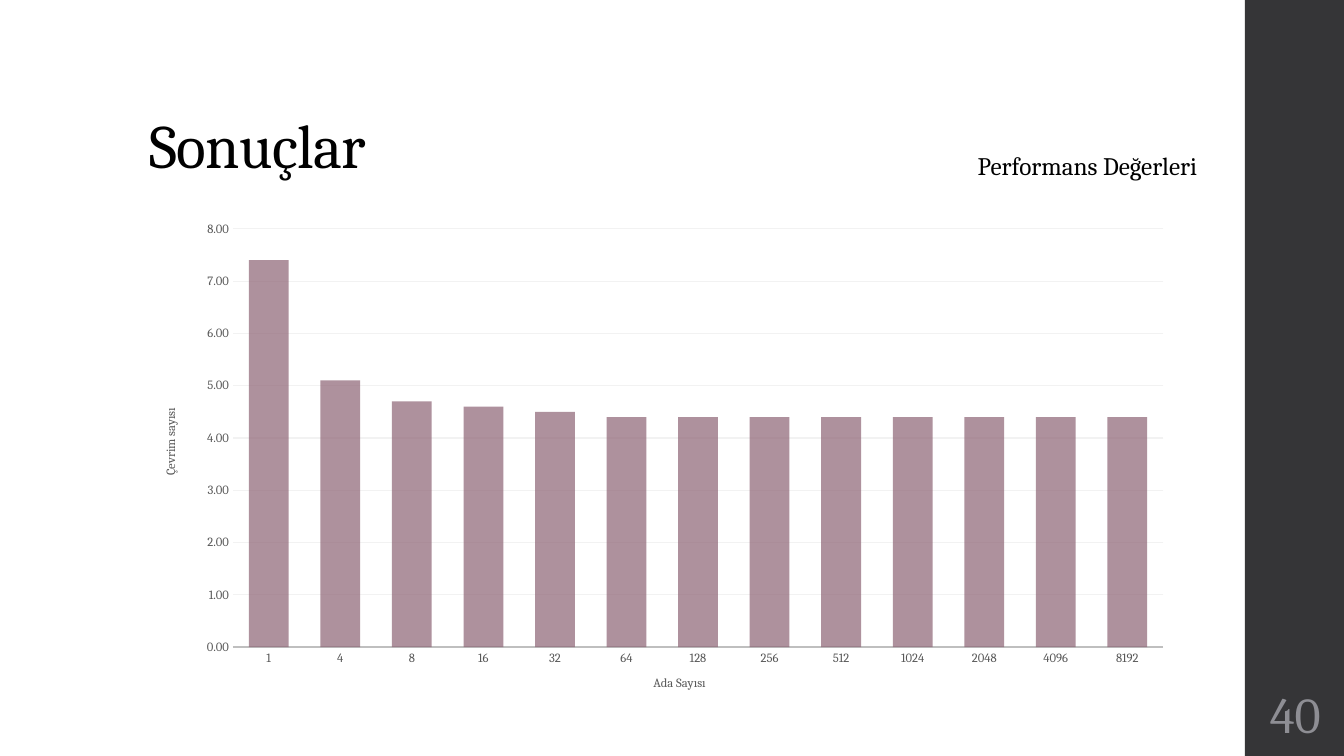
from lxml.etree import SubElement
from pptx import Presentation
from pptx.chart.data import CategoryChartData
from pptx.dml.color import RGBColor
from pptx.enum.chart import XL_CHART_TYPE, XL_TICK_MARK
from pptx.enum.shapes import MSO_SHAPE
from pptx.enum.text import MSO_ANCHOR, PP_ALIGN
from pptx.oxml import parse_xml
from pptx.oxml.ns import nsdecls, qn
from pptx.util import Cm, Pt

FONT = "Cambria"
COLORS = {
    "sidebar": "353537",
    "number": "8E8E94",
    "text": "000000",
    "axis_text": "595959",
    "axis_line": "BFBFBF",
    "grid": "F2F2F2",
    "bar": "8D6374",
}
CYCLES = {
    "1": 7.4, "4": 5.1, "8": 4.7, "16": 4.6, "32": 4.5, "64": 4.4,
    "128": 4.4, "256": 4.4, "512": 4.4, "1024": 4.4, "2048": 4.4,
    "4096": 4.4, "8192": 4.4,
}


def add_text(text, left, top, width, height, size, color="text",
             align=PP_ALIGN.LEFT, anchor=MSO_ANCHOR.TOP,
             margin=0.25, line_spacing=None, tracking=0):
    """Add a one-line text box; lengths in cm, tracking in 1/100 pt."""
    box = slide.shapes.add_textbox(Cm(left), Cm(top), Cm(width), Cm(height))
    frame = box.text_frame
    frame.word_wrap = True
    frame.vertical_anchor = anchor
    frame.margin_left = frame.margin_right = Cm(margin)
    paragraph = frame.paragraphs[0]
    paragraph.alignment = align
    paragraph.line_spacing = line_spacing
    run = paragraph.add_run()
    run.text = text
    run.font.name = FONT
    run.font.size = Pt(size)
    run.font.color.rgb = RGBColor.from_string(COLORS[color])
    if tracking:
        run._r.get_or_add_rPr().set("spc", str(tracking))


def set_layout(element, index, **fractions):
    """Fix a chart part at fractions of the chart area."""
    for old_layout in element.findall(qn("c:layout")):
        element.remove(old_layout)
    layout = parse_xml(f"<c:layout {nsdecls('c')}><c:manualLayout/></c:layout>")
    settings = {"xMode": "edge", "yMode": "edge", **fractions}
    if "w" in fractions:
        settings = {"layoutTarget": "inner", **settings}
    for name, value in settings.items():
        SubElement(layout[0], qn(f"c:{name}")).set("val", str(value))
    element.insert(index, layout)


presentation = Presentation()
presentation.slide_width = Cm(33.87)
presentation.slide_height = Cm(19.05)
slide = presentation.slides.add_slide(presentation.slide_layouts[6])

sidebar = slide.shapes.add_shape(
    MSO_SHAPE.RECTANGLE, Cm(31.37), Cm(0), Cm(2.5), Cm(19.05))
sidebar.shadow.inherit = False
sidebar.fill.solid()
sidebar.fill.fore_color.rgb = RGBColor.from_string(COLORS["sidebar"])
sidebar.line.fill.background()

add_text("Sonuçlar", 3.52, 1.02, 26.92, 3.68, 44, anchor=MSO_ANCHOR.BOTTOM,
         line_spacing=0.9, tracking=-50)
add_text("40", 31.37, 17.15, 2.54, 1.65, 36, color="number",
         align=PP_ALIGN.CENTER, anchor=MSO_ANCHOR.MIDDLE, margin=0.13)
add_text("Performans Değerleri", 14.32, 3.66, 16.1, 1.02, 18,
         align=PP_ALIGN.RIGHT)

chart_data = CategoryChartData(number_format="0.00")
chart_data.categories = list(CYCLES)
chart_data.add_series("Çevrim sayısı", CYCLES.values())
chart = slide.shapes.add_chart(
    XL_CHART_TYPE.COLUMN_CLUSTERED,
    Cm(3.5), Cm(5.26), Cm(26.34), Cm(12.7), chart_data).chart
chart.has_legend = False
chart.has_title = False
chart.font.name = FONT
chart.font.size = Pt(10)
chart.font.color.rgb = RGBColor.from_string(COLORS["text"])
set_layout(chart.plots[0]._element.getparent(), 0,
           x=0.09, y=0.04, w=0.89, h=0.83)

plot = chart.plots[0]
plot.gap_width = 80
plot.overlap = 25
plot.vary_by_categories = False
bar_fill = plot.series[0].format.fill
bar_fill.solid()
bar_fill.fore_color.rgb = RGBColor.from_string(COLORS["bar"])
bar_color = plot.series[0]._element.find(".//" + qn("a:srgbClr"))
SubElement(bar_color, qn("a:alpha")).set("val", "70000")

island_axis, cycle_axis = chart.category_axis, chart.value_axis
for axis, title, x, y in (
    (island_axis, "Ada Sayısı", 0.49, 0.92),
    (cycle_axis, "Çevrim sayısı", 0.02, 0.39),
):
    axis.major_tick_mark = axis.minor_tick_mark = XL_TICK_MARK.NONE
    axis.axis_title.text_frame.text = title
    title_font = axis.axis_title.text_frame.paragraphs[0].runs[0].font
    title_font.bold = False
    for font in (axis.tick_labels.font, title_font):
        font.name = FONT
        font.size = Pt(9)
        font.color.rgb = RGBColor.from_string(COLORS["axis_text"])
    set_layout(axis.axis_title._element, 1, x=x, y=y)

island_axis.format.line.color.rgb = RGBColor.from_string(COLORS["axis_line"])
island_axis.format.line.width = Pt(1.25)
cycle_axis.minimum_scale = 0
cycle_axis.maximum_scale = 8
cycle_axis.major_unit = 1
cycle_axis.tick_labels.number_format = "0.00"
cycle_axis.tick_labels.number_format_is_linked = False
cycle_axis.format.line.fill.background()
grid_line = cycle_axis.major_gridlines.format.line
grid_line.color.rgb = RGBColor.from_string(COLORS["grid"])
grid_line.width = Pt(0.75)

presentation.save("out.pptx")
